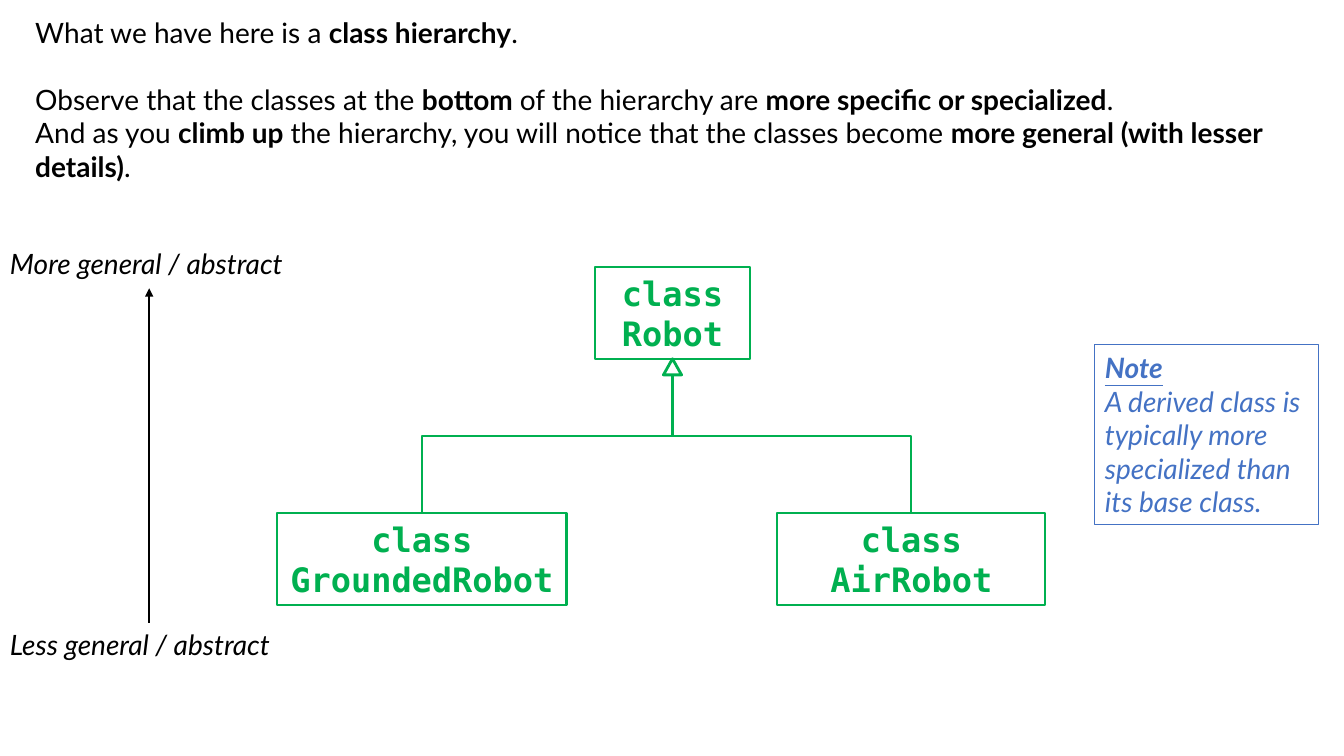
import collections

import pptx
import pptx.dml.color
import pptx.enum.shapes
import pptx.enum.text
import pptx.oxml.ns
import pptx.util

COLORS = {"ink": "000000", "class": "00B050", "note": "4472C4", "paper": "FFFFFF"}
BODY_FONT, CODE_FONT = "Lato", "DejaVu Sans Mono"
SHAPES = pptx.enum.shapes.MSO_SHAPE
CONNECTORS = pptx.enum.shapes.MSO_CONNECTOR
QUARTER_TURN_LEFT = "16200000"

Box = collections.namedtuple("Box", "left top width height")


def part(box, left, top, width, height):
    """Return the region given in percent of a box."""
    return Box(
        int(box.left + box.width * left / 100),
        int(box.top + box.height * top / 100),
        int(box.width * width / 100),
        int(box.height * height / 100),
    )


def color(name):
    return pptx.dml.color.RGBColor.from_string(COLORS[name])


def add_run(para, text, tint="ink", size=20, font=BODY_FONT, **style):
    span = para.add_run()
    span.text = text
    span.font.name, span.font.size = font, pptx.util.Pt(size)
    span.font.color.rgb = color(tint)
    for key, value in style.items():
        setattr(span.font, key, value)


def add_text(page, box):
    frame = page.shapes.add_textbox(*box).text_frame
    frame.word_wrap = True
    return frame


def add_outline(page, kind, box, tint, weight):
    shape = page.shapes.add_shape(kind, *box)
    shape.shadow.inherit = False
    shape.fill.background()
    shape.line.color.rgb = color(tint)
    shape.line.width = pptx.util.Pt(weight)
    shape.text_frame.word_wrap = True
    return shape


def add_arrow(page, kind, ends, tint, head):
    arrow = page.shapes.add_connector(kind, *ends)
    arrow.line.color.rgb = color(tint)
    arrow.line.width = pptx.util.Pt(1.5)
    tip = pptx.oxml.parse_xml(
        f'<a:tailEnd {pptx.oxml.ns.nsdecls("a")} type="{head}"/>')
    arrow.line._get_or_add_ln().append(tip)
    arrow._element.spPr.append(
        pptx.oxml.parse_xml(f'<a:effectLst {pptx.oxml.ns.nsdecls("a")}/>'))
    return arrow


def add_intro(page, box):
    """Explain the hierarchy; every second span is bold."""
    paragraphs = [
        ["What we have here is a ", "class hierarchy", "."],
        ["Observe that the classes at the ", "bottom ", "of the hierarchy are ",
         "more specific or specialized", "."],
        ["And as you ", "climb up ",
         "the hierarchy, you will notice that the classes become ",
         "more general (with lesser details)", "."],
    ]
    frame = add_text(page, box)
    for row, spans in enumerate(paragraphs):
        para = frame.add_paragraph() if row else frame.paragraphs[0]
        if row == 1:
            para.space_before = pptx.util.Pt(24)
        for index, text in enumerate(spans):
            add_run(para, text, bold=index % 2 == 1)


def add_class(page, box, name):
    shape = add_outline(page, SHAPES.RECTANGLE, box, "class", 1.5)
    para = shape.text_frame.paragraphs[0]
    para.alignment = pptx.enum.text.PP_ALIGN.CENTER
    add_run(para, f"class {name}", "class", 24, CODE_FONT, bold=True)
    return shape


def add_inheritance(page, child, base):
    """Join the top of a child to the bottom of its base with an elbow."""
    start_x, start_y = child.left + child.width // 2, child.top
    end_x, end_y = base.left + base.width // 2, base.top + base.height
    link = add_arrow(page, CONNECTORS.ELBOW, (start_x, start_y, end_x, end_y),
                     "class", "arrow")
    link.begin_connect(child, 0)
    link.end_connect(base, 2)
    # The elbow leaves upwards, so its frame is turned by a quarter
    link.width, link.height = start_y - end_y, abs(end_x - start_x)
    link.left = (start_x + end_x - link.width) // 2
    link.top = (start_y + end_y - link.height) // 2
    frame = link._element.spPr.find(pptx.oxml.ns.qn("a:xfrm"))
    frame.set("rot", QUARTER_TURN_LEFT)
    frame.set("flipH", "0")
    frame.set("flipV", "1" if start_x > end_x else "0")


def add_hierarchy(page, box):
    row = 27.16
    base = add_class(page, part(box, 41.34, 0, 20.21, row), "Robot")
    children = [
        add_class(page, part(box, left, 100 - row, width, row), name)
        for name, left, width in (("GroundedRobot", 0, 37.66), ("AirRobot", 65.09, 34.91))
    ]
    for child in children:
        add_inheritance(page, child, base)
    return base


def add_scale(page, box):
    """Axis of abstraction with a label at each end."""
    row = 10.43
    for text, top, width in (("More general / abstract", 0, 100),
                             ("Less general / abstract", 100 - row, 86.5)):
        frame = add_text(page, part(box, 0, top, width, row))
        add_run(frame.paragraphs[0], text, italic=True)
    axis = part(box, 43.4, 10.9, 0, 89.57 - 10.9)
    add_arrow(page, CONNECTORS.STRAIGHT,
              (axis.left, axis.top + axis.height, axis.left, axis.top),
              "ink", "triangle")


def add_note(page, box):
    frame = add_outline(page, SHAPES.RECTANGLE, box, "note", 0.75).text_frame
    title, body = frame.paragraphs[0], frame.add_paragraph()
    add_run(title, "Note", "note", bold=True, italic=True, underline=True)
    add_run(body, "A derived class is typically more specialized than its base class.",
            "note", italic=True)
    for para in (title, body):
        para.alignment = pptx.enum.text.PP_ALIGN.LEFT


def add_inheritance_head(page, base):
    """Hollow triangle under the base class."""
    width, height = pptx.util.Inches(0.18), pptx.util.Inches(0.16)
    box = Box(base.left + (base.width - width) // 2, base.top + base.height, width, height)
    head = add_outline(page, SHAPES.ISOSCELES_TRIANGLE, box, "class", 2)
    head.fill.solid()
    head.fill.fore_color.rgb = color("paper")


def main():
    deck = pptx.Presentation()
    deck.slide_width, deck.slide_height = pptx.util.Inches(13.33), pptx.util.Inches(7.5)
    page = deck.slides.add_slide(deck.slide_layouts[6])
    whole = Box(0, 0, deck.slide_width, deck.slide_height)

    add_intro(page, part(whole, 1.88, 1.33, 96.25, 23.73))
    base = add_hierarchy(page, part(whole, 20.63, 35.33, 57.16, 44.67))
    add_scale(page, part(whole, 0, 32, 25.58, 56.27))
    add_note(page, part(whole, 81.47, 45.6, 16.65, 23.73))
    add_inheritance_head(page, base)
    deck.save("out.pptx")


if __name__ == "__main__":
    main()
